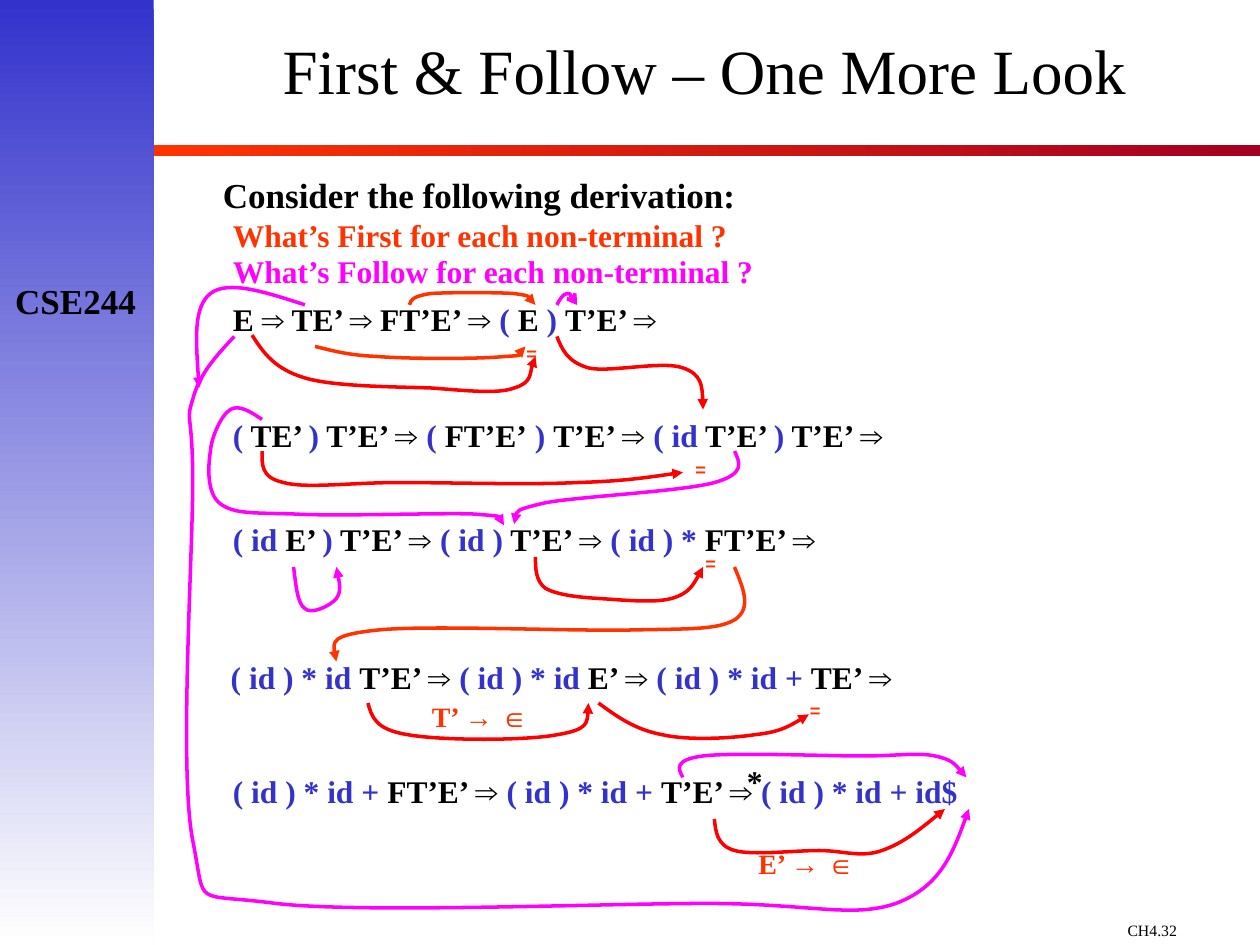
from lxml import etree
from pptx import Presentation
from pptx import util as u
from pptx.dml.color import RGBColor
from pptx.enum import shapes, text
from pptx.oxml import ns

SERIF, SANS = "Times New Roman", "Arial"
BLACK, BLUE, ORANGE, RED, PINK = "000000", "3333CC", "FF3300", "FF0000", "FF00FF"

# Derivation rows: left, top, width, runs split at "|"
ROWS = [
    (1.75, 2.33, 5.83, "E |⇒| TE’ |⇒| FT’E’ |⇒ |( |E| ) |T’E’ |⇒"),
    (1.75, 3.25, 6.17, "(| TE’ |)| T’E’ |⇒ |( |FT’E’| ) |T’E’ |⇒ |( id| T’E’ |)| T’E’ |⇒"),
    (1.75, 4.08, 5.83, "( id| E’ |)| T’E’ |⇒ |( id )| T’E’ |⇒ |( id ) *| FT’E’ |⇒"),
    (1.67, 5.17, 5.92, " |( id ) * id |T’E’ |⇒ |( id ) * id |E’ |⇒ |( id ) * id + |TE’ |⇒"),
    (1.75, 6.08, 6.17, "( id ) * id + |FT’E’ |⇒ |( id ) * id + |T’E’ |⇒ |( id ) * id + id$"),
]
EQUALS = [(4.08, 2.5), (5.42, 3.42), (6.33, 5.33), (5.5, 4.17)]
RULES = [(3.33, 5.5, "T’ "), (5.92, 6.67, "E’ ")]

# Curved arrows: start point, then three points for each Bezier segment
FIRST = [
    [(2.5, 2.75), (2.63, 2.78), (2.75, 2.82), (3, 2.83), (3.25, 2.85), (3.81, 2.85),
     (4, 2.83), (4.19, 2.82), (4.14, 2.76), (4.17, 2.75)],
    [(3.25, 2.42), (3.26, 2.38), (3.28, 2.35), (3.42, 2.33), (3.55, 2.32), (3.94, 2.32),
     (4.08, 2.33), (4.22, 2.35), (4.23, 2.38), (4.25, 2.42)],
    [(5.83, 4.5), (5.9, 4.67), (5.97, 4.83), (5.83, 4.92), (5.69, 5), (5.47, 4.99),
     (5, 5), (4.53, 5.01), (3.39, 4.96), (3, 5), (2.61, 5.04), (2.64, 5.15), (2.67, 5.25)],
]
STEPS = [
    [(2, 2.66), (2.09, 2.8), (2.18, 2.93), (2.42, 3), (2.65, 3.07), (3.14, 3.07),
     (3.42, 3.08), (3.7, 3.1), (3.95, 3.13), (4.08, 3.08), (4.22, 3.04), (4.22, 2.87),
     (4.25, 2.83)],
    [(4.42, 2.67), (4.46, 2.77), (4.5, 2.87), (4.67, 2.92), (4.83, 2.96), (5.26, 2.86),
     (5.42, 2.92), (5.57, 2.97), (5.58, 3.11), (5.58, 3.25)],
    [(2.08, 3.58), (2.08, 3.69), (2.07, 3.79), (2.25, 3.83), (2.43, 3.88), (2.78, 3.83),
     (3.17, 3.83), (3.56, 3.83), (4.21, 3.85), (4.58, 3.83), (4.96, 3.82), (5.19, 3.78),
     (5.42, 3.75)],
    [(4.25, 4.42), (4.25, 4.51), (4.25, 4.61), (4.33, 4.67), (4.42, 4.72), (4.58, 4.74),
     (4.75, 4.75), (4.92, 4.76), (5.19, 4.79), (5.33, 4.75), (5.47, 4.71), (5.53, 4.6),
     (5.58, 4.5)],
    [(2.92, 5.58), (2.95, 5.69), (2.98, 5.79), (3.23, 5.83), (3.49, 5.88), (4.19, 5.88),
     (4.43, 5.83), (4.67, 5.79), (4.67, 5.69), (4.67, 5.58)],
    [(4.75, 5.58), (4.9, 5.69), (5.04, 5.79), (5.25, 5.83), (5.46, 5.88), (5.81, 5.86),
     (6, 5.83), (6.19, 5.81), (6.31, 5.74), (6.42, 5.67)],
    [(5.67, 6.5), (5.68, 6.6), (5.69, 6.71), (5.83, 6.75), (5.97, 6.79), (6.31, 6.75),
     (6.5, 6.75), (6.69, 6.75), (6.83, 6.81), (7, 6.75), (7.17, 6.69), (7.33, 6.56),
     (7.5, 6.42)],
]
HOOK = [(4.42, 2.42), (4.44, 2.38), (4.47, 2.33), (4.5, 2.33), (4.53, 2.33), (4.56, 2.38),
        (4.58, 2.42)]
FOLLOW = [
    [(2.42, 2.42), (2.11, 2.32), (1.81, 2.22), (1.67, 2.33), (1.53, 2.44), (1.56, 2.76),
     (1.58, 3.08)],
    [(2.08, 3.33), (1.99, 3.27), (1.9, 3.21), (1.83, 3.25), (1.76, 3.29), (1.68, 3.46),
     (1.67, 3.58), (1.65, 3.71), (1.64, 3.92), (1.75, 4), (1.86, 4.08), (2, 4.07),
     (2.33, 4.08), (2.67, 4.1), (3.47, 4.07), (3.75, 4.08), (4.03, 4.1), (4.01, 4.13),
     (4, 4.17)],
    [(2.33, 4.5), (2.35, 4.65), (2.36, 4.79), (2.42, 4.83), (2.47, 4.88), (2.62, 4.81),
     (2.67, 4.75), (2.71, 4.69), (2.69, 4.6), (2.67, 4.5)],
    [(5.42, 6.17), (5.38, 6.1), (5.35, 6.03), (5.58, 6), (5.82, 5.97), (6.53, 6),
     (6.83, 6), (7.14, 6), (7.28, 5.97), (7.42, 6), (7.56, 6.03), (7.61, 6.1), (7.67, 6.17)],
    [(1.86, 2.67), (1.72, 2.82), (1.58, 2.97), (1.53, 3.17), (1.47, 3.36), (1.53, 3.25),
     (1.53, 3.83), (1.53, 4.42), (1.42, 6.11), (1.53, 6.67), (1.64, 7.22), (1.51, 7.08),
     (2.19, 7.17), (2.87, 7.25), (4.79, 7.17), (5.61, 7.17), (6.43, 7.17), (6.76, 7.29),
     (7.11, 7.17), (7.46, 7.04), (7.58, 6.73), (7.69, 6.42)],
    [(5.83, 3.58), (5.87, 3.67), (5.92, 3.76), (5.67, 3.83), (5.42, 3.9), (4.6, 3.94),
     (4.33, 3.99), (4.07, 4.05), (4.07, 4.1), (4.08, 4.16)],
]


def color(code):
    return RGBColor.from_string(code)


def label(slide, box, runs, size, bold=True, gap=0, lines=None, align=None, mid=False, wrap=True):
    """Place one line of (text, font, colour) runs in a box."""
    frame = slide.shapes.add_textbox(*map(u.Inches, box)).text_frame
    frame.word_wrap = wrap
    frame.vertical_anchor = text.MSO_ANCHOR.MIDDLE if mid else text.MSO_ANCHOR.TOP
    para = frame.paragraphs[0]
    para.font.size, para.font.bold = u.Pt(size), bold
    para.space_before = u.Pt(gap)
    para.alignment = align
    if lines:
        para.line_spacing = lines
    for words, face, code in runs:
        run = para.add_run()
        run.text = words
        run.font.name = face
        run.font.color.rgb = color(code)
    return para


def band(slide, box, start, end, angle):
    """Rectangle with a two-colour gradient."""
    rect = slide.shapes.add_shape(shapes.MSO_SHAPE.RECTANGLE, *map(u.Inches, box))
    rect.shadow.inherit = False
    rect.line.fill.background()
    rect.fill.gradient()
    rect.fill.gradient_angle = angle
    for stop, code in zip(rect.fill.gradient_stops, (start, end)):
        stop.color.rgb = color(code)


def curve(slide, points, code, head="triangle"):
    """Bezier line with an arrowhead at its end."""
    spots = [(u.Inches(x), u.Inches(y)) for x, y in points]
    pen = slide.shapes.build_freeform(*spots[0])
    pen.add_line_segments(spots[1:], close=False)
    shape = pen.convert_to_shape()
    shape.shadow.inherit = False
    shape.fill.background()
    shape.line.color.rgb = color(code)
    shape.line.width = u.Pt(2)
    # Each three straight nodes become one cubic segment
    nodes = list(shape.element.iter(ns.qn("a:lnTo")))
    for i in range(0, len(nodes), 3):
        cubic = etree.SubElement(nodes[i].getparent(), ns.qn("a:cubicBezTo"))
        for node in nodes[i:i + 3]:
            cubic.append(node[0])
            node.getparent().remove(node)
    line = shape.element.spPr.find(ns.qn("a:ln"))
    etree.SubElement(line, ns.qn("a:tailEnd"), type=head)


def frame(slide, width, height):
    """Side band, rule, course name and page number."""
    band(slide, (1.2, 1.15, width - 1.2, 0.09), ORANGE, "A50021", 0)
    band(slide, (0, 0, 1.22, height), BLUE, "FFFFFF", 270)
    label(slide, (8.85, 7.26, 1.15, 0.24), [("CH4.32", SERIF, BLACK)], 9, bold=False)
    label(slide, (0.02, 2.17, 1.16, 0.44), [("CSE244", SERIF, BLACK)], 20,
          align=text.PP_ALIGN.CENTER, wrap=False)


def heads(slide, left, top, width):
    """Title and the questions."""
    label(slide, (left, top, width, 1.22), [("First & Follow – One More Look", SERIF, BLACK)],
          36, bold=False, lines=0.8, align=text.PP_ALIGN.CENTER, mid=True)
    label(slide, (1.67, 1.33, 6.42, 0.44),
          [("Consider the following derivation:", SERIF, BLACK)], 20, gap=12.5)
    for name, y, tall, lines, code in (("First", 1.75, 0.31, 0.7, ORANGE),
                                       ("Follow", 2.08, 0.26, 0.52, PINK)):
        label(slide, (1.75, y, 5.67, tall),
              [(f"What’s {name} for each non-terminal ?", SERIF, code)], 18, gap=11.2, lines=lines)


def row(slide, box, line):
    """One derivation line: terminals blue, arrows in the sans face."""
    runs = [(part, SANS if "⇒" in part else SERIF, BLUE if set(part) & set("()") else BLACK)
            for part in line.split("|")]
    label(slide, box, runs, 18, gap=11.2)


def marks(slide):
    """Equals signs, star and the empty productions."""
    label(slide, (5.83, 6, 0.58, 0.4), [("*", SERIF, BLACK)], 18, gap=11.2)
    for x, y in EQUALS:
        para = label(slide, (x, y, 0.33, 0.44), [("=", SANS, ORANGE)], 18, gap=11.2)
        para.runs[0].font._element.set("baseline", "-25000")
    for x, y, name in RULES:
        label(slide, (x, y, 1, 0.37), [(name, SERIF, ORANGE), ("→ ∈", SANS, ORANGE)], 16, gap=10)


def main():
    deck = Presentation()
    deck.slide_width, deck.slide_height = u.Inches(10), u.Inches(7.5)
    slide = deck.slides.add_slide(deck.slide_layouts[6])
    frame(slide, 10, 7.5)
    heads(slide, 1.18, 0, 8.82)
    for x, y, wide, line in ROWS:
        row(slide, (x, y, wide, 0.4), line)
    marks(slide)
    for group, code in ((FIRST, ORANGE), (STEPS, RED), (FOLLOW, PINK)):
        for points in group:
            curve(slide, points, code)
    curve(slide, HOOK, PINK, "arrow")
    deck.save("out.pptx")


if __name__ == "__main__":
    main()
